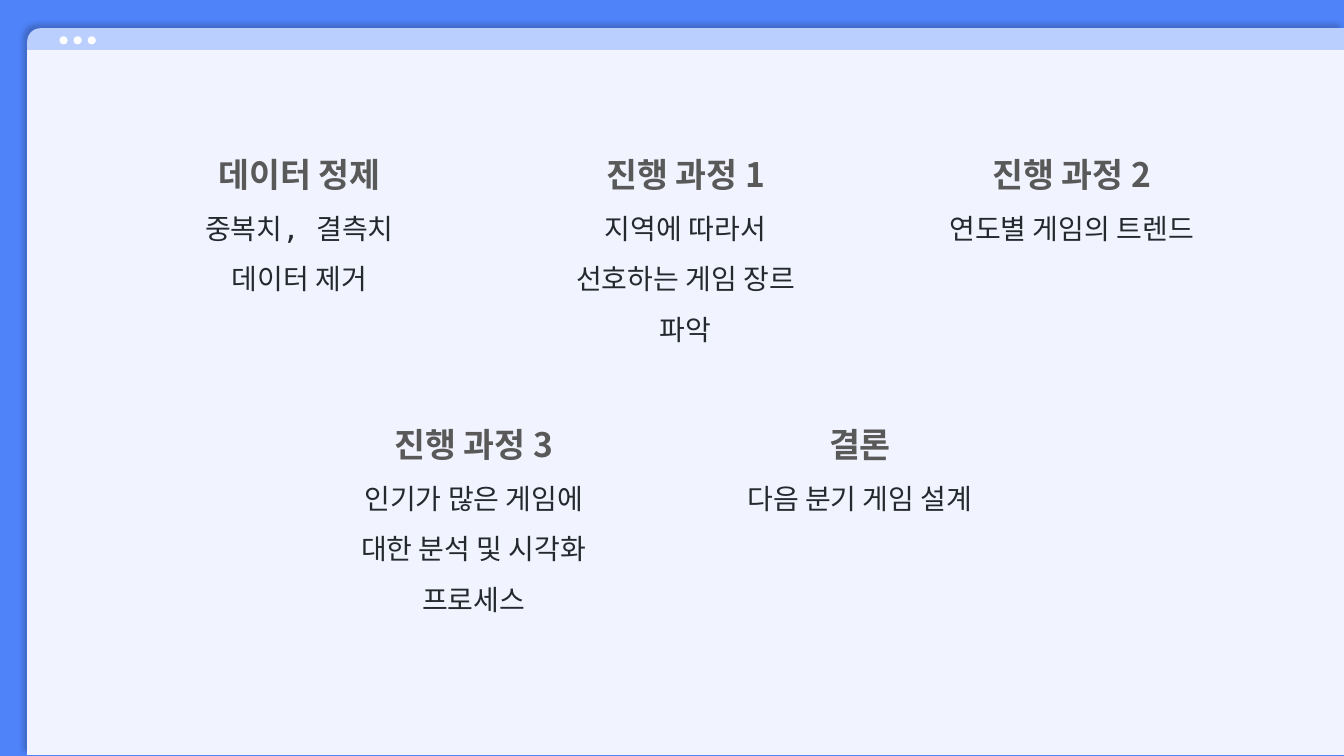
from lxml.etree import SubElement
from pptx import Presentation
from pptx.dml.color import RGBColor
from pptx.enum.shapes import MSO_SHAPE
from pptx.enum.text import MSO_AUTO_SIZE, PP_ALIGN
from pptx.oxml.ns import qn
from pptx.util import Pt

PX = 9144
COLORS = {
    "back": "4F83F9",
    "bar": "BACFFE",
    "pane": "F1F3FF",
    "dot": "FFFFFF",
    "head": "595959",
    "body": "24292E",
    "shade": "000000",
}
SANS = "Noto Sans CJK KR"
MONO = "DejaVu Sans Mono"
WIDTH = 286
STEP = 383
ROWS = [
    (154, 128, [
        ("데이터 정제", "중복치, 결측치 데이터 제거", 165),
        ("진행 과정 1", "지역에 따라서 선호하는 게임 장르 파악", 165),
        ("진행 과정 2", "연도별 게임의 트렌드", 115),
    ]),
    (327, 396, [
        ("진행 과정 3", "인기가 많은 게임에 대한 분석 및 시각화 프로세스", 216),
        ("결론", "다음 분기 게임 설계", 116),
    ]),
]


def px(*sizes):
    return [size * PX for size in sizes]


def color(name):
    return RGBColor.from_string(COLORS[name])


def add_shade(shape):
    effects = SubElement(shape._element.spPr, qn("a:effectLst"))
    shade = SubElement(effects, qn("a:outerShdw"), blurRad=str(Pt(4)),
                       dist=str(Pt(3)), dir="13500000", algn="br",
                       rotWithShape="0")
    tint = SubElement(shade, qn("a:srgbClr"), val=COLORS["shade"])
    SubElement(tint, qn("a:alpha"), val="20000")


def add_pane(slide):
    pane = slide.shapes.add_shape(MSO_SHAPE.ROUND_1_RECTANGLE,
                                  *px(27, 28, 1306, 721))
    pane.adjustments[0] = 0.018
    pane._element.spPr.xfrm.set("flipH", "1")
    pane.fill.gradient()
    pane.fill.gradient_angle = 270
    for stop, name in zip(pane.fill.gradient_stops, ("bar", "pane")):
        stop.color.rgb = color(name)
        stop.position = 0.03
    pane.line.fill.background()
    add_shade(pane)


def add_dots(slide):
    group = slide.shapes.add_group_shape()
    for i in range(3):
        dot = group.shapes.add_shape(MSO_SHAPE.OVAL, *px(59 + 14 * i, 36, 8, 8))
        dot.shadow.inherit = False
        dot.fill.solid()
        dot.fill.fore_color.rgb = color("dot")
        dot.line.fill.background()


def add_line(para, text, size, font, name, bold):
    para.alignment = PP_ALIGN.CENTER
    para.line_spacing = 1.5
    run = para.add_run()
    run.text = text
    run.font.size = Pt(size)
    run.font.name = font
    run.font.bold = bold
    run.font.color.rgb = color(name)
    SubElement(run.font._element, qn("a:ea"), typeface=SANS)


def add_topic(slide, left, top, high, head, body):
    box = slide.shapes.add_textbox(*px(left, top, WIDTH, high))
    frame = box.text_frame
    frame.word_wrap = True
    frame.auto_size = MSO_AUTO_SIZE.SHAPE_TO_FIT_TEXT
    add_line(frame.paragraphs[0], head, 24, SANS, "head", True)
    add_line(frame.add_paragraph(), body, 20, MONO, "body", False)


def main():
    deck = Presentation()
    deck.slide_width, deck.slide_height = px(1333, 750)
    slide = deck.slides.add_slide(deck.slide_layouts[6])
    slide.background.fill.solid()
    slide.background.fill.fore_color.rgb = color("back")
    add_pane(slide)
    add_dots(slide)
    for left, top, topics in ROWS:
        for i, (head, body, high) in enumerate(topics):
            add_topic(slide, left + STEP * i, top, high, head, body)
    deck.save("out.pptx")


if __name__ == "__main__":
    main()
